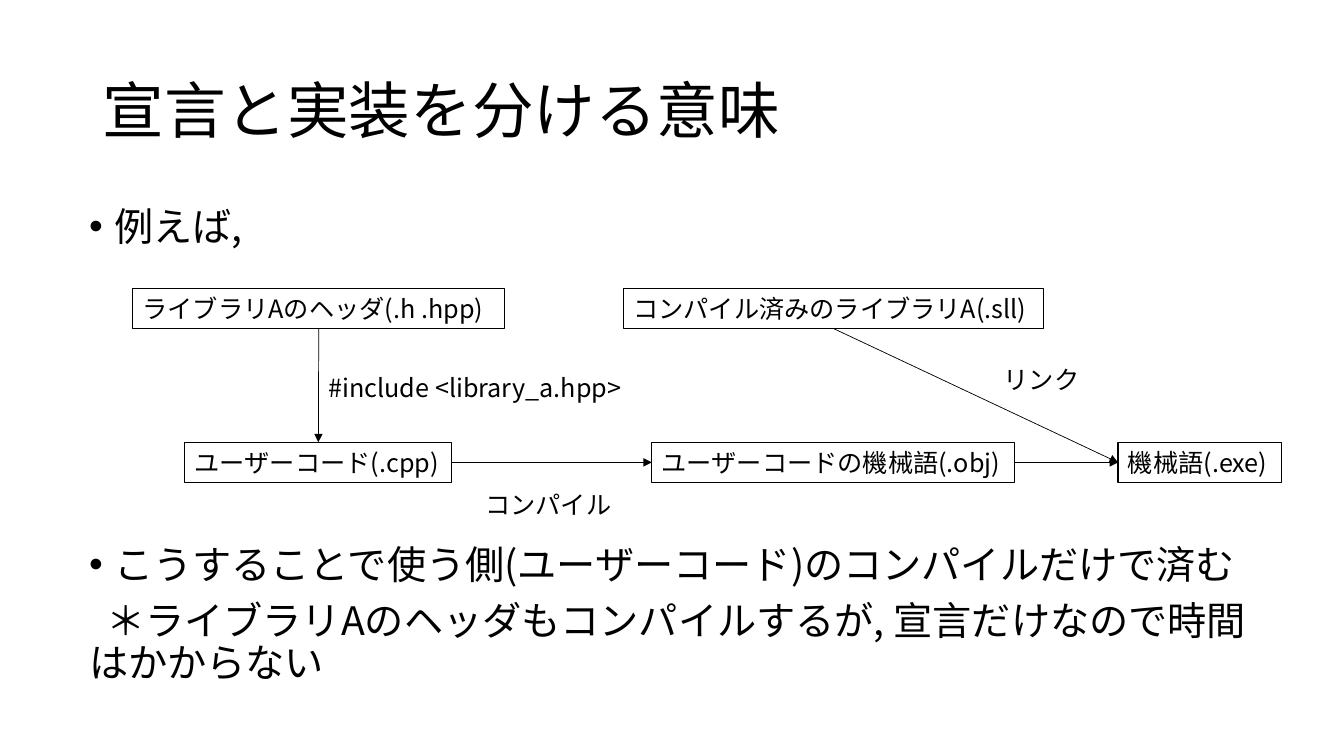
import pptx
import pptx.util
import pptx.dml.color
import pptx.enum.shapes
import pptx.enum.text
import pptx.oxml.ns
import lxml.etree

FONT = "Noto Sans CJK JP"
BLACK = "000000"

deck = pptx.Presentation()
deck.slide_width = pptx.util.Inches(13.33)
deck.slide_height = pptx.util.Inches(7.5)
column = deck.slide_width / 160
row = deck.slide_height / 90
slide = deck.slides.add_slide(deck.slide_layouts[1])
anchors = pptx.enum.text.MSO_ANCHOR
fits = pptx.enum.text.MSO_AUTO_SIZE
qn = pptx.oxml.ns.qn


def place(left, top, width, height):
    return [round(left * column), round(top * row), round(width * column), round(height * row)]


def write(frame, text, size=18, color=BLACK, anchor=anchors.TOP, wrap=False,
          fit=fits.NONE, spacing=None, before=0, bullet=None,
          margin=0, indent=0, append=False):
    frame.word_wrap, frame.auto_size, frame.vertical_anchor = wrap, fit, anchor
    paragraph = frame.add_paragraph() if append else frame.paragraphs[0]
    paragraph.alignment = pptx.enum.text.PP_ALIGN.LEFT
    paragraph.line_spacing = spacing
    paragraph.space_before = pptx.util.Pt(before)
    properties = paragraph._p.get_or_add_pPr()
    properties.set("marL", str(pptx.util.Inches(margin)))
    properties.set("indent", str(pptx.util.Inches(indent)))
    if bullet:
        lxml.etree.SubElement(properties, qn("a:buChar")).set("char", bullet)
    else:
        lxml.etree.SubElement(properties, qn("a:buNone"))
    run = paragraph.add_run()
    run.text = text
    run.font.size = pptx.util.Pt(size)
    run.font.name = FONT
    run.font.color.rgb = pptx.dml.color.RGBColor.from_string(color)
    lxml.etree.SubElement(run._r.get_or_add_rPr(), qn("a:ea")).set("typeface", FONT)


heading = slide.shapes.title
heading.left, heading.top, heading.width, heading.height = place(11, 4.8, 138, 17.4)
write(heading.text_frame, "宣言と実装を分ける意味", size=44, anchor=anchors.MIDDLE,
      wrap=True, spacing=0.9)

explanation = slide.placeholders[1]
explanation.left, explanation.top, explanation.width, explanation.height = place(9.4, 24.1, 144.6, 61.5)
points = [
    ("例えば,", dict(before=10, bullet="•", margin=0.25, indent=-0.25)),
    ("こうすることで使う側(ユーザーコード)のコンパイルだけで済む",
     dict(before=211, bullet="•", margin=0.25, indent=-0.25)),
    ("＊ライブラリAのヘッダもコンパイルするが, 宣言だけなので時間はかからない",
     dict(before=10, indent=0.17)),
]
for number, (text, style) in enumerate(points):
    write(explanation.text_frame, text, size=28, wrap=True,
          spacing=0.9, append=number > 0, **style)

box_height = 4.8
source_row, output_row = 34.3, 52.65
stages = {}
for stage, text, left, top, width in [
    ("library", "コンパイル済みのライブラリA(.sll)", 74.2, source_row, 50),
    ("header", "ライブラリAのヘッダ(.h .hpp)", 15.8, source_row, 44.3),
    ("user code", "ユーザーコード(.cpp)", 22, output_row, 31.8),
    ("object", "ユーザーコードの機械語(.obj)", 77.6, output_row, 43.2),
    ("program", "機械語(.exe)", 133.1, output_row, 19.5),
]:
    box = slide.shapes.add_shape(pptx.enum.shapes.MSO_SHAPE.RECTANGLE,
                                 *place(left, top, width, box_height))
    box.shadow.inherit = False
    box.fill.background()
    box.line.color.rgb = pptx.dml.color.RGBColor.from_string(BLACK)
    box.line.width = pptx.util.Pt(0.75)
    box.text_frame.margin_right = 0
    write(box.text_frame, text)
    stages[stage] = box

TOP, LEFT, BOTTOM, RIGHT = range(4)
for start, start_side, end, end_side in [
    ("header", BOTTOM, "user code", TOP),
    ("user code", RIGHT, "object", LEFT),
    ("library", BOTTOM, "program", LEFT),
    ("object", RIGHT, "program", LEFT),
]:
    step = slide.shapes.add_connector(pptx.enum.shapes.MSO_CONNECTOR.STRAIGHT, 0, 0, 0, 0)
    step.begin_connect(stages[start], start_side)
    step.end_connect(stages[end], end_side)
    step.line.color.rgb = pptx.dml.color.RGBColor.from_string(BLACK)
    step.line.width = pptx.util.Pt(0.5)
    lxml.etree.SubElement(step.line._get_or_add_ln(), qn("a:tailEnd")).set("type", "triangle")
    lxml.etree.SubElement(step._element.spPr, qn("a:effectLst"))

for text, left, top, width in [
    ("#include <library_a.hpp>", 37.9, 43.7, 37.6),
    ("コンパイル", 56.6, 57.7, 17.5),
    ("リンク", 118.3, 42.8, 11.5),
]:
    caption = slide.shapes.add_textbox(*place(left, top, width, box_height))
    write(caption.text_frame, text, fit=fits.SHAPE_TO_FIT_TEXT)

deck.save("out.pptx")
